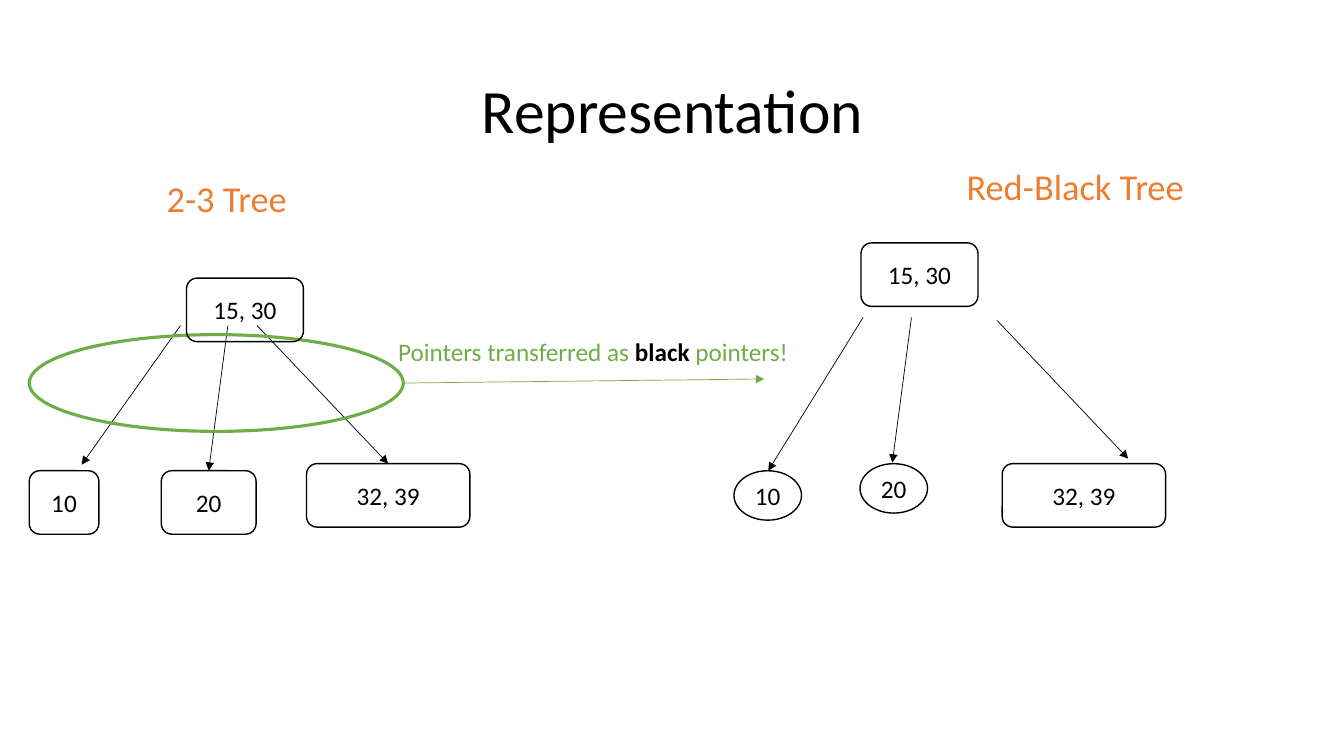
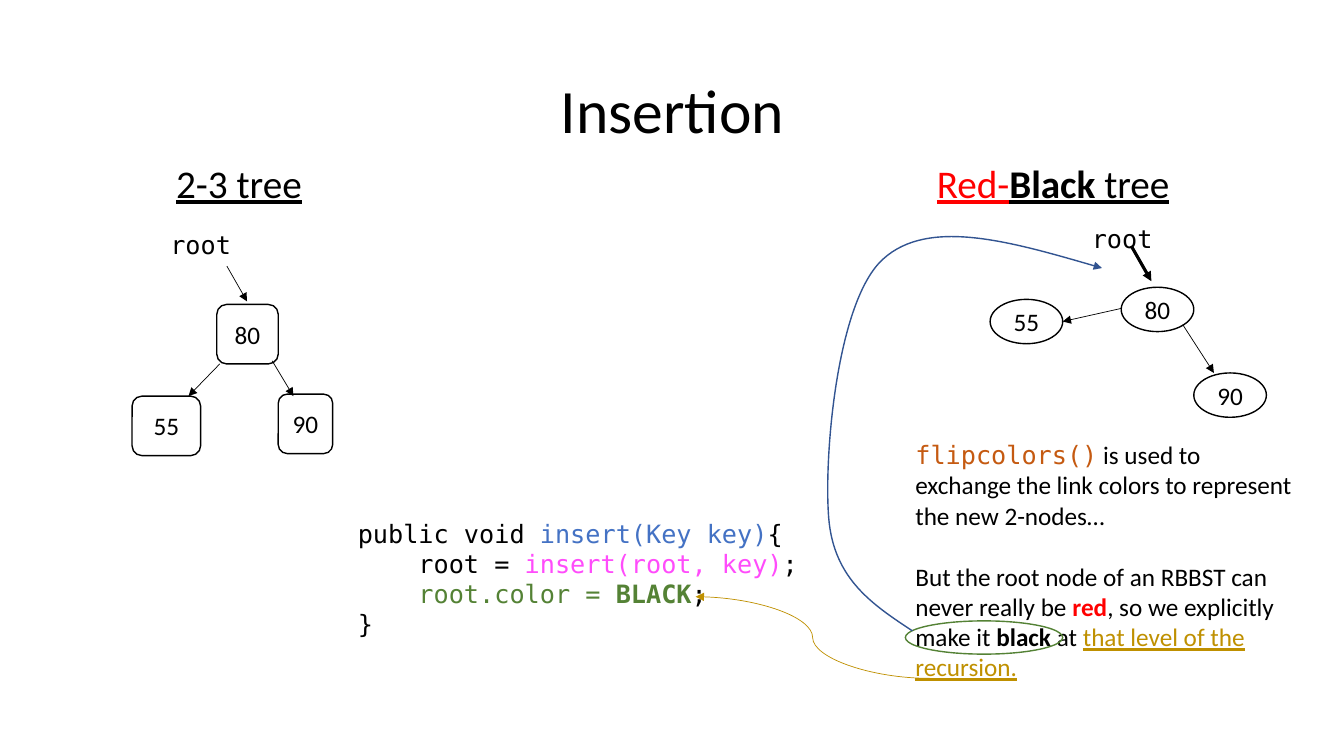
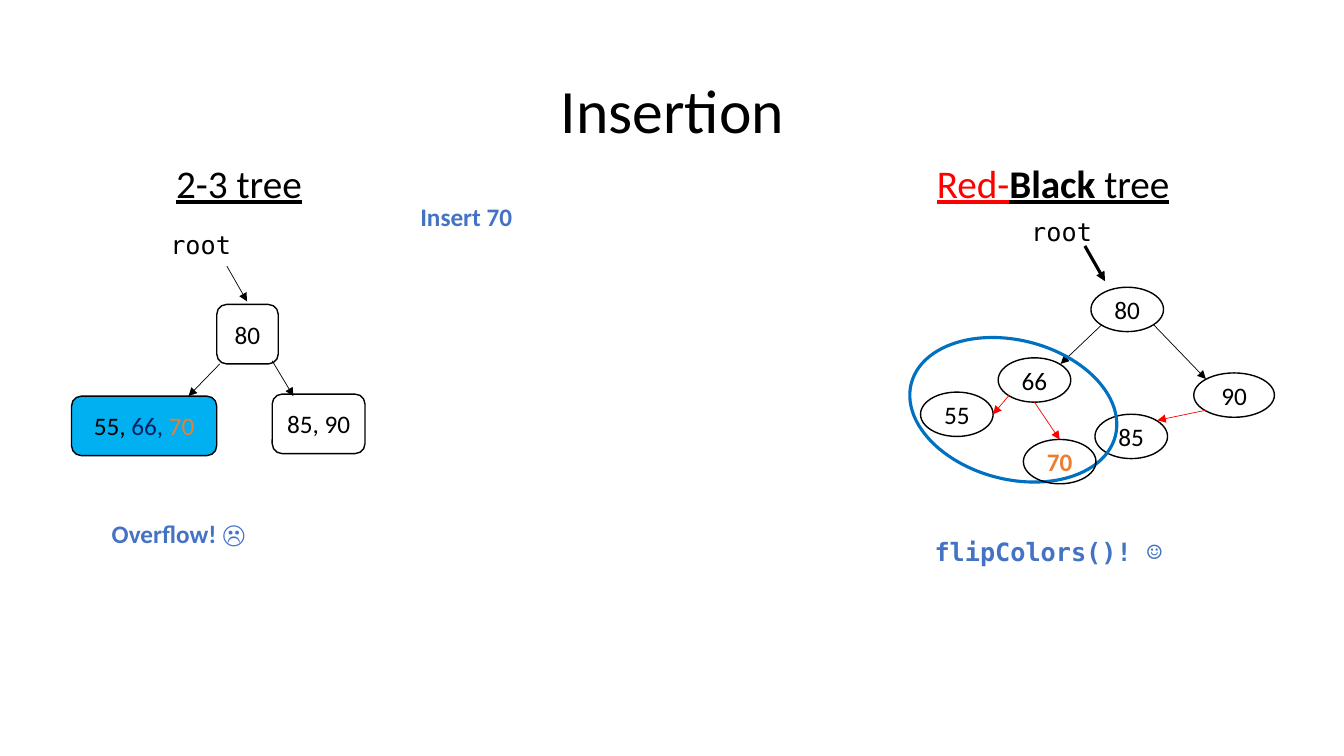
from typing import NamedTuple, Optional

from lxml.etree import SubElement
from pptx import Presentation
from pptx.dml.color import RGBColor
from pptx.enum.shapes import MSO_CONNECTOR as Connector, MSO_SHAPE as Preset
from pptx.enum.text import MSO_ANCHOR as Anchor, MSO_AUTO_SIZE as AutoSize, PP_ALIGN as Align
from pptx.oxml.ns import qn
from pptx.util import Inches, Pt

# Shared style
BODY_FONT, CODE_FONT = "Calibri", "DejaVu Sans Mono"
BLACK, RED, ORANGE, GREEN, BLUE = "000000", "FF0000", "ED7D31", "70AD47", "4472C4"
DARK_GREEN, GOLD = "548235", "BF9000"
BODY_SIZE, HEADING_SIZE, TITLE_SIZE = 18, 28, 44
THIN, OUTLINE, THICK = 0.5, 1, 2.25
BOX, OVAL = Preset.ROUNDED_RECTANGLE, Preset.OVAL
RB_SIZE = (0.72, 0.44)


class Span(NamedTuple):
    text: str
    color: str = BLACK
    bold: bool = False
    underline: bool = False
    font: str = BODY_FONT


class Node(NamedTuple):
    label: list[Span]
    left: float
    top: float
    width: float
    height: float
    preset: Preset = BOX
    fill: Optional[str] = None


class Arrow(NamedTuple):
    start: tuple[float, float]
    end: tuple[float, float]
    color: str = BLACK
    weight: float = THIN
    kind: Connector = Connector.STRAIGHT


def rgb(color: str) -> RGBColor:
    return RGBColor.from_string(color)


def code(text: str, color: str = BLACK, bold: bool = False) -> Span:
    return Span(text, color, bold, font=CODE_FONT)


def fill_text(frame, paragraphs: list[list[Span]], size: float, align: Align, gap: float = 0) -> None:
    for index, spans in enumerate(paragraphs):
        paragraph = frame.add_paragraph() if index else frame.paragraphs[0]
        paragraph.alignment = align
        if index and gap:
            paragraph.space_before = Pt(gap)
        for span in spans:
            run = paragraph.add_run()
            run.text = span.text
            run.font.name, run.font.size = span.font, Pt(size)
            run.font.bold, run.font.underline = span.bold, span.underline
            run.font.color.rgb = rgb(span.color)


def add_text(slide, paragraphs: list[list[Span]], left: float, top: float, width: float, height: float,
             size: float = BODY_SIZE, align: Align = Align.LEFT, gap: float = 0):
    box = slide.shapes.add_textbox(Inches(left), Inches(top), Inches(width), Inches(height))
    box.text_frame.word_wrap = True
    box.text_frame.auto_size = AutoSize.SHAPE_TO_FIT_TEXT
    fill_text(box.text_frame, paragraphs, size, align, gap)
    return box


def add_title(slide, title: str) -> None:
    box = add_text(slide, [[Span(title)]], 0.92, 0.4, 11.5, 1.45, TITLE_SIZE, Align.CENTER)
    box.text_frame.auto_size = AutoSize.NONE
    box.text_frame.vertical_anchor = Anchor.MIDDLE
    box.text_frame.paragraphs[0].line_spacing = 0.9


def set_outline(shape, color: str, weight: float) -> None:
    shape.line.color.rgb = rgb(color)
    shape.line.width = Pt(weight)


def add_arrowhead(shape) -> None:
    SubElement(shape.element.spPr.find(qn("a:ln")), qn("a:tailEnd"), type="triangle")


def add_node(slide, node: Node, color: str = BLACK, weight: float = OUTLINE):
    shape = slide.shapes.add_shape(node.preset, Inches(node.left), Inches(node.top),
                                   Inches(node.width), Inches(node.height))
    shape.shadow.inherit = False
    if node.fill:
        shape.fill.solid()
        shape.fill.fore_color.rgb = rgb(node.fill)
    else:
        shape.fill.background()
    set_outline(shape, color, weight)
    if node.label:
        shape.text_frame.vertical_anchor = Anchor.MIDDLE
        fill_text(shape.text_frame, [node.label], BODY_SIZE, Align.CENTER)
    return shape


def add_ring(slide, left: float, top: float, width: float, height: float, color: str, weight: float):
    return add_node(slide, Node([], left, top, width, height, OVAL), color, weight)


def add_arrow(slide, arrow: Arrow, target=None) -> None:
    ends = [Inches(value) for value in (*arrow.start, *arrow.end)]
    connector = slide.shapes.add_connector(arrow.kind, *ends)
    if target is not None:
        connector.end_connect(target, 0)
    set_outline(connector, arrow.color, arrow.weight)
    add_arrowhead(connector)
    SubElement(connector.element.spPr, qn("a:effectLst"))


def add_curve(slide, points: list[tuple[float, float]], color: str, weight: float) -> None:
    """Draw a chain of cubic curves: a start, then three points for each curve."""
    start, *rest = [(Inches(x), Inches(y)) for x, y in points]
    builder = slide.shapes.build_freeform(*start)
    builder.add_line_segments(rest, close=False)
    curve = builder.convert_to_shape()
    segments = list(curve.element.spPr.iter(qn("a:lnTo")))
    outline = segments[0].getparent()
    for first in range(0, len(segments), 3):
        cubic = SubElement(outline, qn("a:cubicBezTo"))
        for segment in segments[first:first + 3]:
            cubic.append(segment[0])
            outline.remove(segment)
    curve.shadow.inherit = False
    curve.fill.background()
    set_outline(curve, color, weight)
    add_arrowhead(curve)


def rb_node(text: str, left: float, top: float, width: float = RB_SIZE[0],
            color: str = BLACK, bold: bool = False) -> Node:
    return Node([Span(text, color, bold)], left, top, width, RB_SIZE[1], OVAL)


def draw_insertion_frame(slide, left_leaf: Node, right_leaf: Node) -> None:
    """Title, both headings and the 2-3 tree under its root pointer."""
    add_title(slide, "Insertion")
    add_text(slide, [[Span("2-3 tree", underline=True)]], 1.29, 1.53, 2.16, 0.57, HEADING_SIZE, Align.CENTER)
    red_black = [Span("Red-", RED, underline=True), Span("Black", bold=True, underline=True),
                 Span(" tree", underline=True)]
    add_text(slide, [red_black], 9.1, 1.53, 2.69, 0.57, HEADING_SIZE, Align.CENTER)
    add_text(slide, [[code("root")]], 1.59, 2.23, 1.31, 0.4)
    for node in (left_leaf, right_leaf, Node([Span("80")], 2.15, 3.02, 0.61, 0.59)):
        add_node(slide, node)
    for arrow in (Arrow((2.25, 2.64), (2.45, 2.99)), Arrow((2.7, 3.58), (2.91, 3.93)),
                  Arrow((2.18, 3.61), (1.87, 3.93))):
        add_arrow(slide, arrow)


def draw_representation(slide) -> None:
    add_title(slide, "Representation")
    for heading, left, top, width in (("2-3 Tree", 1.46, 1.7, 1.58), ("Red-Black Tree", 9.37, 1.58, 2.59)):
        add_text(slide, [[Span(heading, ORANGE)]], left, top, width, 0.54, 26, Align.CENTER)

    # 2-3 tree
    leaves = [add_node(slide, Node([Span(key)], left, top, width, 0.63))
              for key, left, top, width in (("10", 0.29, 4.67, 0.69), ("20", 1.6, 4.67, 0.94),
                                            ("32, 39", 3.04, 4.6, 1.62))]
    add_arrow(slide, Arrow((1.79, 3.23), (0.81, 4.61)))
    add_arrow(slide, Arrow((2.26, 3.23), (2.07, 4.67)), leaves[1])
    add_arrow(slide, Arrow((2.55, 3.23), (3.85, 4.6)), leaves[2])

    # Transfer of the pointers
    add_text(slide, [[Span("Pointers transferred as ", GREEN), Span("black ", bold=True),
                      Span("pointers!", GREEN)]], 3.85, 3.29, 4.15, 0.4)
    add_ring(slide, 0.29, 3.32, 3.71, 0.96, GREEN, THICK)
    add_arrow(slide, Arrow((4, 3.8), (7.58, 3.76), GREEN))
    add_node(slide, Node([Span("15, 30")], 1.85, 2.76, 1.16, 0.63))

    # Red-black tree
    for node in (Node([Span("15, 30")], 8.54, 2.41, 1.16, 0.63),
                 Node([Span("10")], 7.28, 4.67, 0.67, 0.49, OVAL),
                 Node([Span("20")], 8.53, 4.6, 0.67, 0.49, OVAL),
                 Node([Span("32, 39")], 9.94, 4.6, 1.62, 0.63)):
        add_node(slide, node)
    for arrow in (Arrow((8.56, 3.15), (7.62, 4.67)), Arrow((9.04, 3.15), (8.85, 4.59)),
                  Arrow((9.89, 3.18), (11.19, 4.55))):
        add_arrow(slide, arrow)


def draw_root_recoloring(slide) -> None:
    draw_insertion_frame(slide, Node([Span("55")], 1.31, 3.93, 0.68, 0.59),
                         Node([Span("90")], 2.76, 3.91, 0.54, 0.59))

    # Red-black tree
    add_text(slide, [[code("root")]], 10.73, 2.17, 1.31, 0.4)
    for node in (rb_node("55", 9.82, 2.97), rb_node("80", 11.12, 2.85), rb_node("90", 11.84, 3.7)):
        add_node(slide, node)
    for arrow in (Arrow((11.22, 2.44), (11.42, 2.79), weight=THICK),
                  Arrow((11.12, 3.06), (10.54, 3.19)), Arrow((11.73, 3.22), (12.04, 3.7))):
        add_arrow(slide, arrow)

    # Explanation and code
    explanation = [
        [code("flipcolors()", "C55A11"),
         Span(" is used to exchange the link colors to represent the new 2-nodes…")],
        [Span("But the root node of an RBBST can never really be "), Span("red", RED, bold=True),
         Span(", so we explicitly make it "), Span("black ", bold=True), Span("at "),
         Span("that level of the recursion.", GOLD, underline=True)],
    ]
    add_text(slide, explanation, 8.98, 4.31, 3.95, 2.52, gap=22)
    insert_code = [
        [code("public void "), code("insert(Key key)", BLUE), code("{")],
        [code("    root = "), code("insert(root, key)", "FF4CFB"), code(";")],
        [code("    root.color = ", DARK_GREEN), code("BLACK", DARK_GREEN, bold=True), code(";")],
        [code("}")],
    ]
    add_text(slide, insert_code, 3.45, 5.09, 4.69, 1.31)

    # Links from the explanation to the root and the code
    add_ring(slide, 8.98, 6.16, 1.56, 0.33, DARK_GREEN, OUTLINE)
    add_curve(slide, [(9.05, 6.26), (8.66, 6), (8.27, 5.75), (8.22, 5.14), (8.17, 4.53), (8.3, 2.98),
                      (8.76, 2.57), (9.21, 2.16), (10.07, 2.41), (10.93, 2.66)], "325491", OUTLINE)
    add_arrow(slide, Arrow((9.22, 6.73), (6.9, 5.92), GOLD, kind=Connector.CURVE))


def draw_overflow(slide) -> None:
    overflow_keys = [Span("55, "), Span("66, ", "002060"), Span("70", ORANGE)]
    draw_insertion_frame(slide, Node(overflow_keys, 0.71, 3.93, 1.44, 0.59, fill="00B0F0"),
                         Node([Span("85, 90")], 2.7, 3.91, 0.92, 0.59))

    # Red-black tree
    add_text(slide, [[code("root")]], 10.13, 2.1, 0.93, 0.4)
    for node in (rb_node("66", 9.9, 3.55), rb_node("80", 10.82, 2.85), rb_node("90", 11.84, 3.7, 0.8),
                 rb_node("85", 10.86, 4.11), rb_node("55", 9.13, 3.89)):
        add_node(slide, node)
    for arrow in (Arrow((10.76, 2.44), (10.96, 2.79), weight=THICK),
                  Arrow((10.93, 3.22), (10.52, 3.61)), Arrow((11.44, 3.22), (11.96, 3.76)),
                  Arrow((11.96, 4.07), (11.48, 4.17), RED), Arrow((10.01, 3.92), (9.85, 4.11), RED),
                  Arrow((10.26, 3.99), (10.51, 4.36), RED)):
        add_arrow(slide, arrow)
    overflow_ring = add_ring(slide, 9.36, 3.02, 1.38, 2.09, "0070C0", THICK)
    overflow_ring.rotation = 104.4
    add_node(slide, rb_node("70", 10.15, 4.36, color=ORANGE, bold=True))

    # Step captions
    for caption, left, top in ((Span("Insert 70", BLUE, bold=True), 4.07, 1.95),
                               (Span("Overflow! ☹", BLUE, bold=True), 1.01, 5.09),
                               (code("flipColors()! ☺", BLUE, bold=True), 9.17, 5.27)):
        add_text(slide, [[caption]], left, top, 3.38, 0.4)


def main() -> None:
    deck = Presentation()
    deck.slide_width, deck.slide_height = Inches(13.33), Inches(7.5)
    for draw in (draw_representation, draw_root_recoloring, draw_overflow):
        draw(deck.slides.add_slide(deck.slide_layouts[6]))
    deck.save("out.pptx")


if __name__ == "__main__":
    main()
